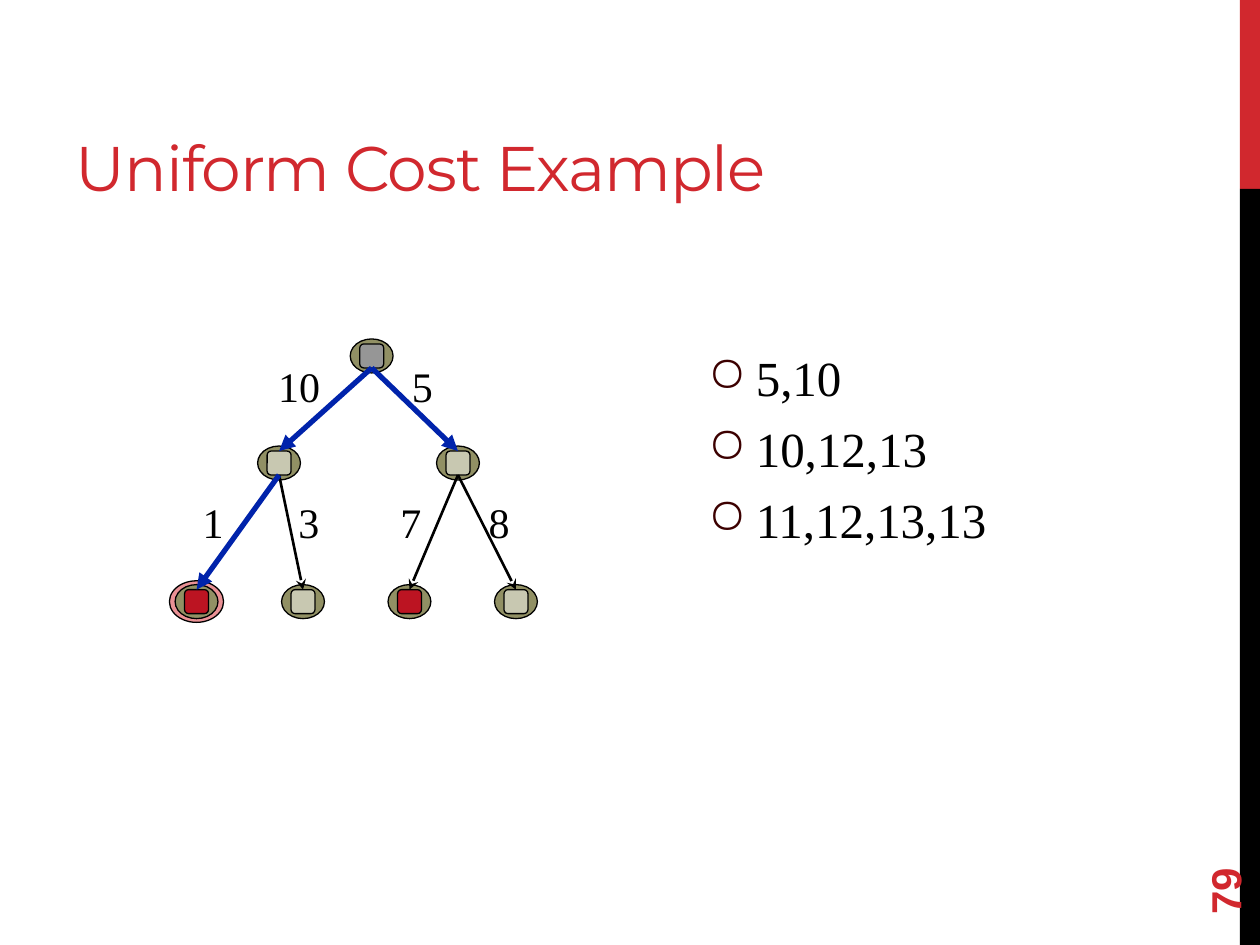
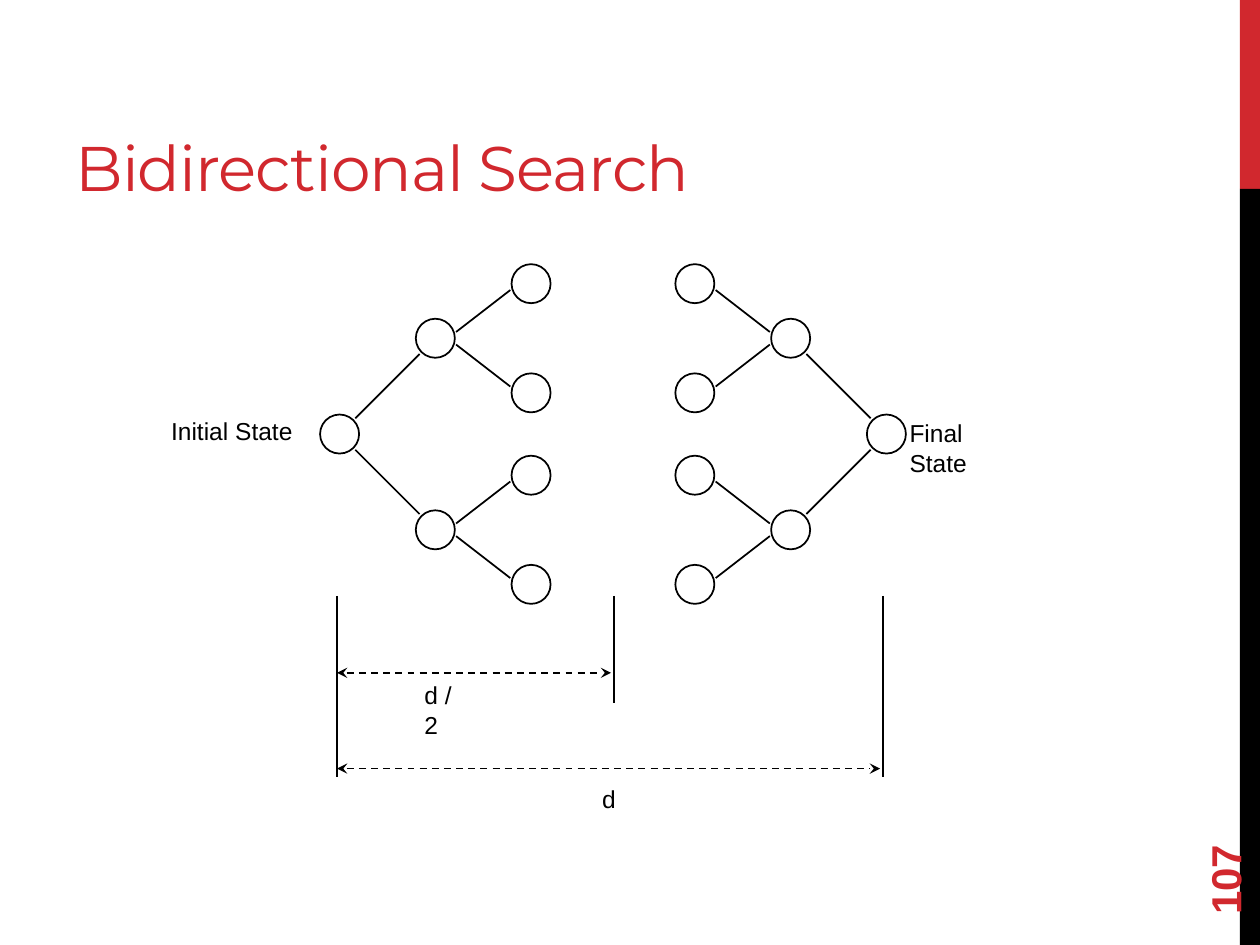
import pptx
import pptx.util
import pptx.dml.color
import pptx.enum.dml
import pptx.enum.shapes
import pptx.enum.text
import pptx.oxml.ns
from lxml import etree

COLORS = {
    "red": "D1282E", "black": "000000", "halo": "EA9195", "olive": "919064",
    "visited": "969696", "node": "C8C8B1", "goal": "BC1422", "route": "0023AB",
    "bullet": "3C0000",
}
FONTS = {"title": "Montserrat", "sans": "Arial", "serif": "Times New Roman"}
SHAPE = pptx.enum.shapes.MSO_SHAPE
ANCHOR = pptx.enum.text.MSO_ANCHOR
COLS, ROWS = 100, 75
WIDTH, HEIGHT = pptx.util.Inches(10), pptx.util.Inches(7.5)


# Grid and colour helpers
def gx(cols):
    return round(WIDTH * cols / COLS)


def gy(rows):
    return round(HEIGHT * rows / ROWS)


def rgb(name):
    return pptx.dml.color.RGBColor.from_string(COLORS[name])


def add_xml(parent, tag, **attrs):
    return etree.SubElement(parent, pptx.oxml.ns.qn(tag), attrs)


# Elements
def add_shape(s, kind, x, y, w, h, fill=None, line=None):
    sp = s.shapes.add_shape(kind, gx(x), gy(y), gx(w), gy(h))
    sp.shadow.inherit = False
    if fill:
        sp.fill.solid()
        sp.fill.fore_color.rgb = rgb(fill)
    else:
        sp.fill.background()
    if line:
        sp.line.color.rgb = rgb("black")
        sp.line.width = pptx.util.Pt(line)
    else:
        sp.line.fill.background()
    return sp


def add_centred(s, kind, cx, cy, w, h, fill=None, line=None):
    return add_shape(s, kind, cx - w / 2, cy - h / 2, w, h, fill, line)


def add_line(s, x1, y1, x2, y2, color="black", width=1, head=None, tail=None, dashed=False):
    cn = s.shapes.add_connector(pptx.enum.shapes.MSO_CONNECTOR.STRAIGHT,
                                gx(x1), gy(y1), gx(x2), gy(y2))
    cn.line.color.rgb = rgb(color)
    cn.line.width = pptx.util.Pt(width)
    if dashed:
        cn.line.dash_style = pptx.enum.dml.MSO_LINE.DASH
    ln = cn.line._get_or_add_ln()
    for tag, kind in (("a:headEnd", head), ("a:tailEnd", tail)):
        if kind:
            add_xml(ln, tag, type=kind)
    add_xml(cn._element.spPr, "a:effectLst")
    return cn


def add_run(p, text, font, size, color="black", bold=False):
    r = p.add_run()
    r.text = text
    r.font.name = FONTS[font]
    r.font.size = pptx.util.Pt(size)
    r.font.color.rgb = rgb(color)
    r.font.bold = bold
    return r


def add_text(s, text, x, y, w, h, font, size, color="black", bold=False, wrap=True):
    tb = s.shapes.add_textbox(gx(x), gy(y), gx(w), gy(h))
    tb.text_frame.word_wrap = wrap
    add_run(tb.text_frame.paragraphs[0], text, font, size, color, bold)
    return tb


def add_bullets(s, items, x, y, w, h):
    tf = s.shapes.add_textbox(gx(x), gy(y), gx(w), gy(h)).text_frame
    tf.word_wrap = True
    indent = gx(3.8)
    for i, item in enumerate(items):
        p = tf.add_paragraph() if i else tf.paragraphs[0]
        p.space_before = pptx.util.Pt(7)
        pPr = p._p.get_or_add_pPr()
        pPr.set("marL", str(indent))
        pPr.set("indent", str(-indent))
        add_xml(add_xml(pPr, "a:buClr"), "a:srgbClr", val=COLORS["bullet"])
        add_xml(pPr, "a:buChar", char="○")
        add_run(p, item, "serif", 28)


# Shared frame: title, side bands, page number
def new_slide(prs, title, number):
    s = prs.slides.add_slide(prs.slide_layouts[5])
    add_shape(s, SHAPE.RECTANGLE, 98.4, 0, 1.6, 15, "red")
    add_shape(s, SHAPE.RECTANGLE, 98.4, 15, 1.6, 60, "black")
    sp = s.shapes.title
    sp.left, sp.top, sp.width, sp.height = gx(5), gy(1.7), gx(63.3), gy(15)
    tf = sp.text_frame
    tf.vertical_anchor = ANCHOR.BOTTOM
    tf.auto_size = pptx.enum.text.MSO_AUTO_SIZE.NONE
    p = tf.paragraphs[0]
    p.alignment = pptx.enum.text.PP_ALIGN.LEFT
    r = add_run(p, title, "title", 36, "red")
    r._r.get_or_add_rPr().set("spc", "-60")
    tb = add_text(s, number, 90, 64.4, 14.4, 4, "sans", 24, "red", bold=True)
    tb.rotation = 270
    tb.text_frame.vertical_anchor = ANCHOR.MIDDLE
    return s


# Slide 1: weighted tree
def add_state(s, cx, cy, fill):
    add_centred(s, SHAPE.OVAL, cx, cy, 3.4, 2.7, "olive", 0.75)
    return add_centred(s, SHAPE.ROUNDED_RECTANGLE, cx, cy, 1.9, 1.9, fill, 0.75)


def add_cost_edge(s, parent, child, on_route):
    color, width, tail = ("route", 3, "triangle") if on_route else ("black", 1.5, "stealth")
    cn = add_line(s, 0, 0, 1, 1, color, width, tail=tail)
    cn.begin_connect(parent, 2)
    cn.end_connect(child, 0)


def uniform_cost_slide(prs):
    s = new_slide(prs, "Uniform Cost Example", "79")
    leaf_x, leaf_step, leaf_y = 15.6, 8.45, 47.75
    add_centred(s, SHAPE.OVAL, leaf_x, leaf_y, 4.3, 3.3, "halo", 0.75)
    root = add_state(s, 29.5, 28.25, "visited")
    left, right = [add_state(s, x, 36.75, "node") for x in (22.15, 36.35)]
    leaves = [add_state(s, leaf_x + i * leaf_step, leaf_y, fill)
              for i, fill in enumerate(("goal", "node", "goal", "node"))]

    edges = [(left, leaves[1], False), (right, leaves[2], False), (right, leaves[3], False),
             (root, left, True), (left, leaves[0], True), (root, right, True)]
    for parent, child, on_route in edges:
        add_cost_edge(s, parent, child, on_route)

    costs = [("10", 21.1, 28.1), ("5", 31.7, 28.1), ("1", 15.1, 38.9),
             ("3", 22.7, 38.9), ("7", 30.8, 38.9), ("8", 37.8, 38.9)]
    for cost, x, y in costs:
        add_text(s, cost, x, y, 2 + 1.8 * len(cost), 5, "serif", 24, wrap=False)
    add_bullets(s, ["5,10", "10,12,13", "11,12,13,13"], 55.2, 27.1, 33.8, 24)


# Slide 2: two trees growing towards each other
def add_search_tree(s, root_x, side):
    """Grow a tree sideways; side is 1 to the right, -1 to the left."""
    root_y, step, leaf_rise = 34.45, 7.6, 4.33

    def circle(cx, cy):
        add_centred(s, SHAPE.OVAL, cx, cy, 3.1, 3.1, line=1)

    def branch(x, y, rise, gap_x, gap_y):
        up = 1 if rise > 0 else -1
        add_line(s, x + side * gap_x, y + up * gap_y,
                 x + side * (step - gap_x), y + rise - up * gap_y)

    circle(root_x, root_y)
    child_x = root_x + side * step
    for rise in (-step, step):
        branch(root_x, root_y, rise, 1.25, 1.25)
        child_y = root_y + rise
        circle(child_x, child_y)
        for leaf in (-leaf_rise, leaf_rise):
            branch(child_x, child_y, leaf, 1.65, 0.5)
            circle(child_x + side * step, child_y + leaf)


def bidirectional_slide(prs):
    s = new_slide(prs, "Bidirectional Search", "107")
    add_search_tree(s, 26.95, 1)
    add_search_tree(s, 70.35, -1)

    # Distance marks
    start, middle, end = 26.75, 48.75, 70.1
    for x, bottom in ((start, 61.7), (middle, 55.8), (end, 61.7)):
        add_line(s, x, 47.3, x, bottom)
    for x, y in ((middle, 53.4), (end, 61)):
        add_line(s, start, y, x - 0.25, y, head="stealth", tail="stealth", dashed=True)

    labels = [("d", 46.8, 61.7, 3.1), ("d / 2", 32.7, 53.5, 5.3),
              ("Initial State", 12.6, 32.5, 13), ("Final State", 71.2, 32.7, 10.8)]
    for text, x, y, w in labels:
        add_text(s, text, x, y, w, 3.3, "sans", 14)


def main():
    prs = pptx.Presentation()
    prs.slide_width, prs.slide_height = WIDTH, HEIGHT
    uniform_cost_slide(prs)
    bidirectional_slide(prs)
    prs.save("out.pptx")


if __name__ == "__main__":
    main()
